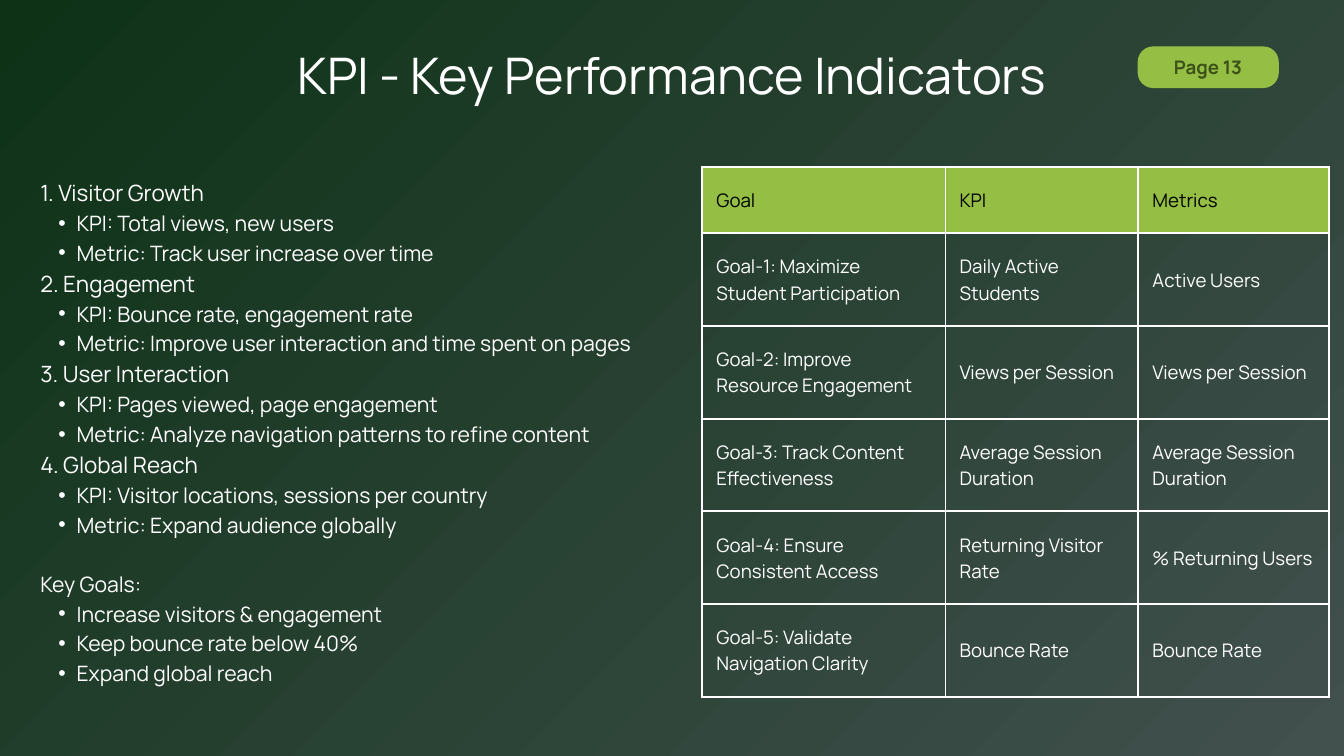
"""Build the KPI slide: an outline of indicators beside a table of goals."""
import lxml.etree
import pptx
import pptx.dml.color
import pptx.enum.shapes
import pptx.enum.text
import pptx.oxml
import pptx.oxml.ns
import pptx.util

Inches, Pt = pptx.util.Inches, pptx.util.Pt
ALIGN = pptx.enum.text.PP_ALIGN
qn = pptx.oxml.ns.qn

COLORS = {"start": "0D3216", "end": "42504E", "green": "94BF44",
          "badge": "3C5017", "white": "FFFFFF", "black": "000000"}

SECTIONS = [
    ("1. Visitor Growth", ["KPI: Total views, new users",
                           "Metric: Track user increase over time"]),
    ("2. Engagement", ["KPI: Bounce rate, engagement rate",
                       "Metric: Improve user interaction and time spent on pages"]),
    ("3. User Interaction", ["KPI: Pages viewed, page engagement",
                             "Metric: Analyze navigation patterns to refine content"]),
    ("4. Global Reach", ["KPI: Visitor locations, sessions per country",
                         "Metric: Expand audience globally"]),
    ("Key Goals:", ["Increase visitors & engagement",
                    "Keep bounce rate below 40%",
                    "Expand global reach"]),
]

GOALS = [
    ("Goal", "KPI", "Metrics"),
    ("Goal-1: Maximize Student Participation", "Daily Active Students", "Active Users"),
    ("Goal-2: Improve Resource Engagement", "Views per Session", "Views per Session"),
    ("Goal-3: Track Content Effectiveness", "Average Session Duration",
     "Average Session Duration"),
    ("Goal-4: Ensure Consistent Access", "Returning Visitor Rate", "% Returning Users"),
    ("Goal-5: Validate Navigation Clarity", "Bounce Rate", "Bounce Rate"),
]


def rgb(name):
    return pptx.dml.color.RGBColor.from_string(COLORS[name])


class Deck:
    """Hold the style and the current slide."""

    font = "Manrope"
    leading = 1.4

    def __init__(self, width, height):
        self.prs = pptx.Presentation()
        self.prs.slide_width, self.prs.slide_height = Inches(width), Inches(height)
        self.s = self.prs.slides.add_slide(self.prs.slide_layouts[6])

    def background(self, start, end):
        fill = self.s.background.fill
        fill.gradient()
        for stop, name, position in zip(fill.gradient_stops, (start, end), (0, 1)):
            stop.color.rgb = rgb(name)
            stop.position = position
        bg = self.s.element.find(".//" + qn("a:gradFill"))
        bg.remove(bg.find(qn("a:lin")))
        shade = lxml.etree.SubElement(bg, qn("a:path"), path="circle")
        lxml.etree.SubElement(shade, qn("a:fillToRect"), r="100000", b="100000")

    def rounded(self, left, top, width, height, radius, color):
        kind = pptx.enum.shapes.MSO_SHAPE.ROUNDED_RECTANGLE
        sp = self.s.shapes.add_shape(kind, *map(Inches, (left, top, width, height)))
        sp.adjustments[0] = radius / min(width, height)
        sp.shadow.inherit = False
        sp.fill.solid()
        sp.fill.fore_color.rgb = rgb(color)
        sp.line.fill.background()

    def paragraph(self, p, text, size, color="white", bold=False, **layout):
        layout = {"line_spacing": Pt(size * self.leading), **layout}
        for name, value in layout.items():
            setattr(p, name, value)
        r = p.add_run()
        r.text = text
        for name, value in {"name": self.font, "size": Pt(size), "bold": bold}.items():
            setattr(r.font, name, value)
        r.font.color.rgb = rgb(color)

    def frame(self, left, top, width, height):
        tf = self.s.shapes.add_textbox(*map(Inches, (left, top, width, height))).text_frame
        settings = {"word_wrap": True, "margin_left": 0, "margin_top": 0,
                    "margin_right": 0, "margin_bottom": 0,
                    "auto_size": pptx.enum.text.MSO_AUTO_SIZE.SHAPE_TO_FIT_TEXT}
        for name, value in settings.items():
            setattr(tf, name, value)
        return tf

    def label(self, box, text, size, **style):
        p = self.frame(*box).paragraphs[0]
        self.paragraph(p, text, size, alignment=ALIGN.CENTER, **style)

    def outline(self, box, sections, head_size, item_size):
        tf = self.frame(*box)
        p = tf.paragraphs[0]
        for i, (heading, items) in enumerate(sections):
            closing = i == len(sections) - 1
            if i:
                p = tf.add_paragraph()
            gap = Pt(item_size * self.leading) if closing else Pt(0)
            self.paragraph(p, heading, item_size if closing else head_size,
                           alignment=ALIGN.JUSTIFY, space_before=gap)
            for item in items:
                p = tf.add_paragraph()
                pPr = p._p.get_or_add_pPr()
                pPr.set("marL", str(Inches(0.54)))
                pPr.set("indent", str(Inches(-0.27)))
                lxml.etree.SubElement(pPr, qn("a:buFont"), typeface="Arial")
                lxml.etree.SubElement(pPr, qn("a:buChar"), char="•")
                self.paragraph(p, item, item_size, alignment=ALIGN.JUSTIFY, level=1)

    def border(self, cell, color, width):
        tcPr = cell._tc.get_or_add_tcPr()
        for i, side in enumerate(("lnL", "lnR", "lnT", "lnB")):
            ln = pptx.oxml.parse_xml(
                f'<a:{side} {pptx.oxml.ns.nsdecls("a")} w="{Pt(width)}"><a:solidFill>'
                f'<a:srgbClr val="{COLORS[color]}"/></a:solidFill></a:{side}>')
            tcPr.insert(i, ln)

    def table(self, left, top, widths, heights, rows, size):
        box = map(Inches, (left, top, sum(widths), sum(heights)))
        table = self.s.shapes.add_table(len(rows), len(widths), *box).table
        table.first_row = table.horz_banding = False
        for column, width in zip(table.columns, widths):
            column.width = Inches(width)
        for row, height in zip(table.rows, heights):
            row.height = Inches(height)
        margins = {"margin_" + side: Inches(0.21)
                   for side in ("left", "top", "right", "bottom")}
        settings = {"vertical_anchor": pptx.enum.text.MSO_ANCHOR.MIDDLE, **margins}
        for i, row in enumerate(rows):
            for j, text in enumerate(row):
                cell = table.cell(i, j)
                for name, value in settings.items():
                    setattr(cell, name, value)
                cell.fill.background()
                self.border(cell, "white", 2.25)
                self.paragraph(cell.text_frame.paragraphs[0], text, size,
                               "white" if i else "black")


def main():
    deck = Deck(20, 11.25)
    deck.background("start", "end")
    deck.rounded(10.45, 2.48, 9.33, 1, 0.05, "green")
    deck.table(10.45, 2.48, [3.62, 2.87, 2.84], [0.99] + [1.38] * 5, GOALS, 20)
    deck.label((3.86, 0.5, 12.27, 1.07), "KPI - Key Performance Indicators", 54)
    deck.outline((0.6, 2.6, 9.59, 7.53), SECTIONS, 24, 22.7)
    deck.rounded(16.93, 0.69, 2.1, 0.62, 0.23, "green")
    deck.label((17.2, 0.77, 1.55, 0.39), "Page 13", 20, color="badge", bold=True)
    deck.prs.save("out.pptx")


if __name__ == "__main__":
    main()
